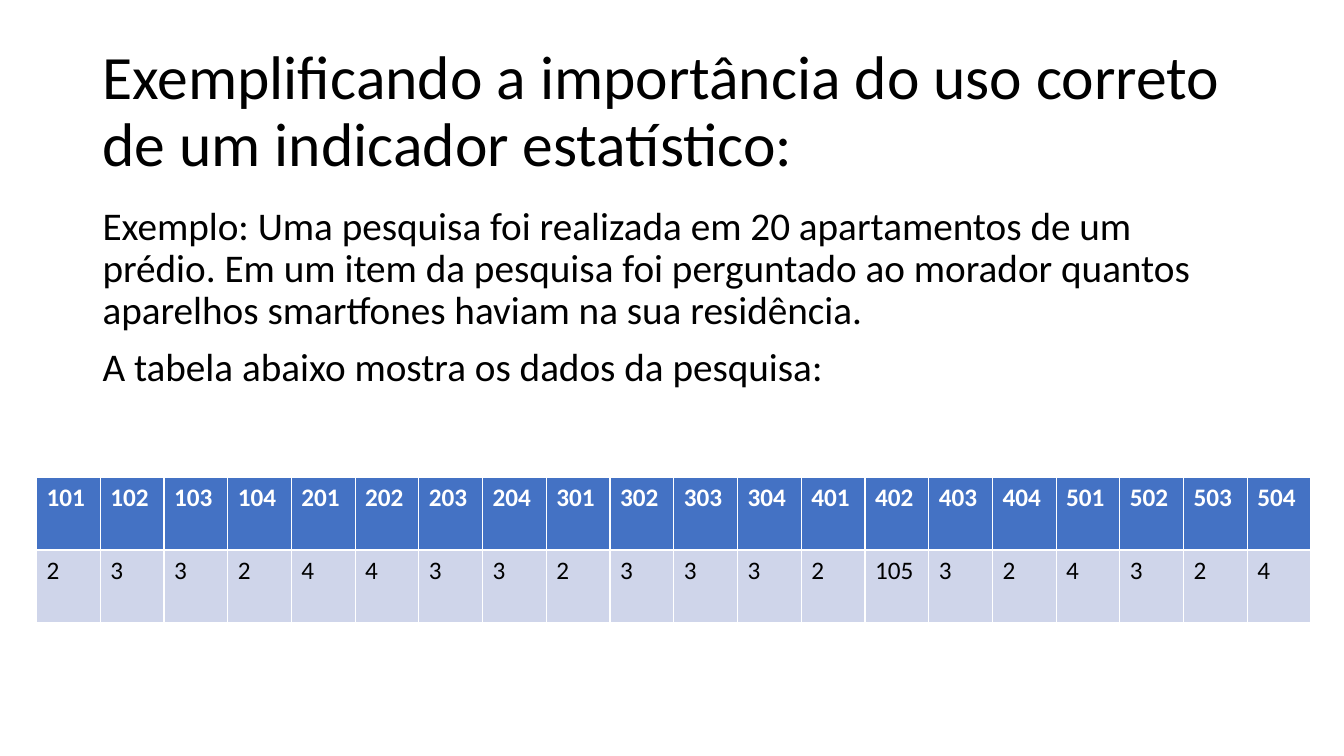
from pptx import Presentation
from pptx import util as u
from pptx.dml import color
from pptx.enum import text
from pptx.oxml import ns
from lxml import etree

COLORS = {"text": "000000", "header_text": "FFFFFF", "header": "4472C4", "data": "CFD5EA"}


def format_text(frame, size, color_name, bold=False):
    for para in frame.paragraphs:
        for span in para.runs:
            span.font.name = "Calibri"
            span.font.size = u.Pt(size)
            span.font.bold = bold
            span.font.color.rgb = color.RGBColor.from_string(COLORS[color_name])


def place(box, left, top, width, height):
    box.left, box.top = u.Cm(left), u.Cm(top)
    box.width, box.height = u.Cm(width), u.Cm(height)
    box.text_frame.word_wrap = True
    box.text_frame.auto_size = text.MSO_AUTO_SIZE.NONE


deck = Presentation()
deck.slide_width, deck.slide_height = u.Cm(33.87), u.Cm(19.05)
page = deck.slides.add_slide(deck.slide_layouts[1])

title = page.shapes.title
place(title, 2.33, 1.01, 29.21, 3.68)
title.text_frame.text = "Exemplificando a importância do uso correto de um indicador estatístico:"
title.text_frame.vertical_anchor = text.MSO_ANCHOR.MIDDLE
title.text_frame.paragraphs[0].alignment = text.PP_ALIGN.LEFT
title.text_frame.paragraphs[0].line_spacing = 0.9
format_text(title.text_frame, 44, "text")

body = page.placeholders[1]
place(body, 2.33, 5.07, 29.21, 12.09)
body.text_frame.text = (
    "Exemplo: Uma pesquisa foi realizada em 20 apartamentos de um prédio. "
    "Em um item da pesquisa foi perguntado ao morador quantos aparelhos "
    "smartfones haviam na sua residência.\n"
    "A tabela abaixo mostra os dados da pesquisa:"
)
for para in body.text_frame.paragraphs:
    para.line_spacing = 0.9
    para.space_before = u.Pt(10)
    properties = para._p.get_or_add_pPr()
    properties.set("marL", "0")
    properties.set("indent", "0")
    etree.SubElement(properties, ns.qn("a:buNone"))
format_text(body.text_frame, 28, "text")

apartments = [floor * 100 + door for floor in range(1, 6) for door in range(1, 5)]
smartphones = [2, 3, 3, 2, 4, 4, 3, 3, 2, 3, 3, 3, 2, 105, 3, 2, 4, 3, 2, 4]
survey = page.shapes.add_table(
    2, len(apartments), u.Cm(0.92), u.Cm(12.02), u.Cm(32.13), u.Cm(3.68)
).table
table_rows = [
    (apartments, "header", "header_text", True),
    (smartphones, "data", "text", False),
]
for row, (values, fill, ink, bold) in zip(survey.rows, table_rows):
    for cell, value in zip(row.cells, values):
        cell.text_frame.text = str(value)
        cell.fill.solid()
        cell.fill.fore_color.rgb = color.RGBColor.from_string(COLORS[fill])
        format_text(cell.text_frame, 18, ink, bold)

deck.save("out.pptx")
